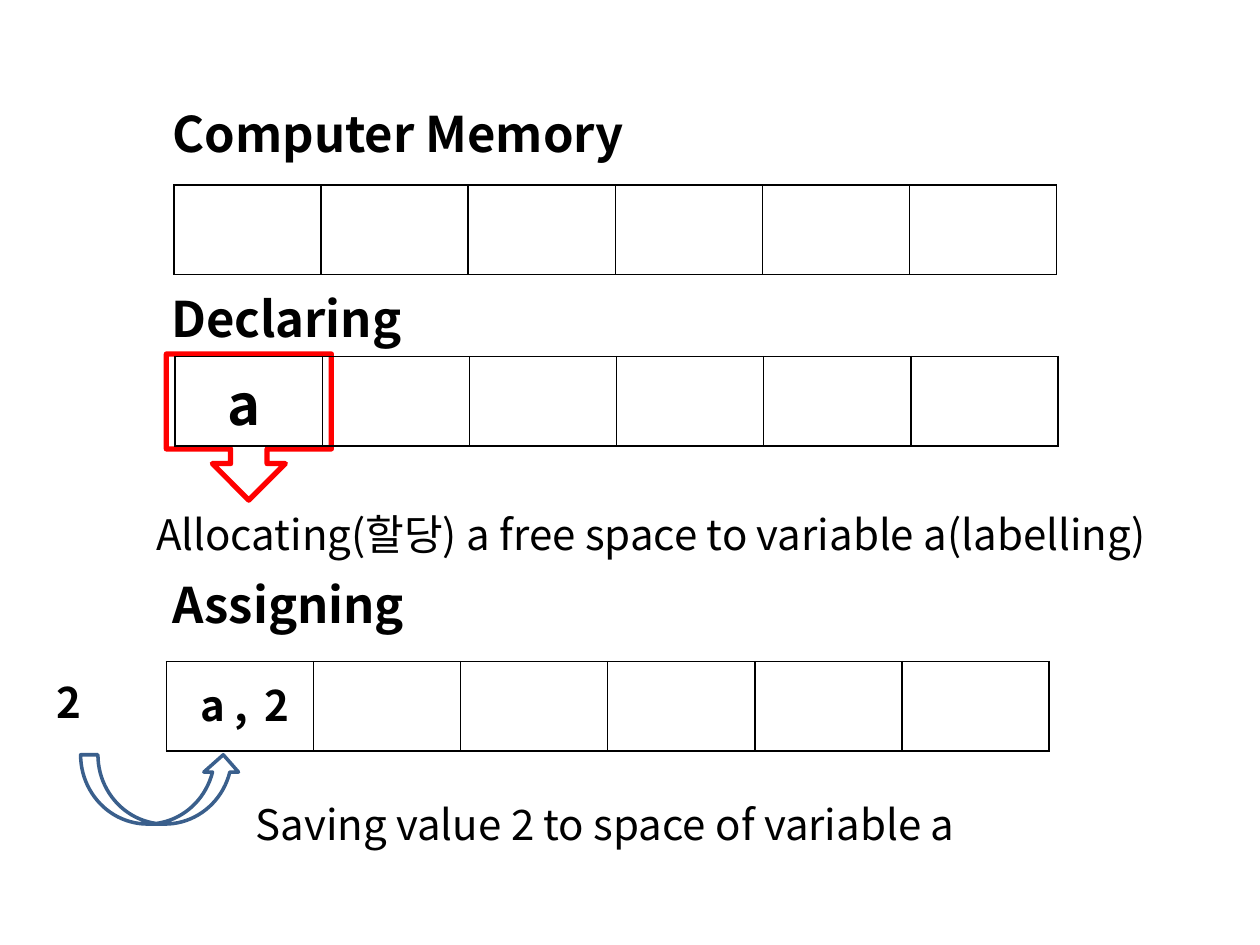
from pptx import Presentation
from pptx.dml.color import RGBColor
from pptx.enum import shapes, text
from pptx.oxml import parse_xml
from pptx.oxml.ns import nsdecls
from pptx.util import Inches, Pt

FONT = "Noto Sans CJK KR"
HUES = {"ink": "000000", "paper": "FFFFFF", "mark": "FF0000", "curve": "3A5F8C"}
HEAD = {"size": Pt(28), "bold": True}
BODY = {"size": Pt(24), "bold": False}
VALUE = {"size": Pt(24), "bold": True}
LABEL = {"size": Pt(32), "bold": True}
CELLS, WIDE, HIGH = 6, 1.168, 0.71


def hue(name):
    return RGBColor.from_string(HUES[name])


def write(box, words, style, align=text.PP_ALIGN.LEFT, wrap=True):
    frame = box.text_frame
    frame.text = words
    form = {"word_wrap": wrap, "auto_size": text.MSO_AUTO_SIZE.SHAPE_TO_FIT_TEXT,
            "vertical_anchor": text.MSO_ANCHOR.TOP}
    for key, val in form.items():
        setattr(frame, key, val)
    para = frame.paragraphs[0]
    para.alignment = align
    run = para.runs[0]
    for key, val in {**style, "name": FONT}.items():
        setattr(run.font, key, val)
    run.font.color.rgb = hue("ink")
    east = parse_xml(f'<a:ea {nsdecls("a")} typeface="{FONT}"/>')
    run.font._element.find("{*}latin").addnext(east)


def add_title(slide, words, spot):
    title = slide.shapes.title
    for key, val in zip(("left", "top", "width", "height"), spot):
        setattr(title, key, Inches(val))
    write(title, words, HEAD)


def add_text(slide, words, spot, style, **form):
    write(slide.shapes.add_textbox(*map(Inches, spot)), words, style, **form)


def add_shape(slide, kind, spot, tint, width):
    shape = slide.shapes.add_shape(kind, *map(Inches, spot))
    shape.shadow.inherit = False
    shape.fill.background()
    shape.line.color.rgb = hue(tint)
    shape.line.width = Pt(width)


def edge(cell):
    props = cell._tc.get_or_add_tcPr()
    for side in "LRTB":
        props.append(parse_xml(
            f'<a:ln{side} {nsdecls("a")} w="{Pt(1)}"><a:solidFill>'
            f'<a:srgbClr val="{HUES["ink"]}"/></a:solidFill></a:ln{side}>'))


def add_row(slide, left, top, tint=None):
    spot = map(Inches, (left, top, CELLS * WIDE, HIGH))
    table = slide.shapes.add_table(1, CELLS, *spot).table
    table.first_row = table.horz_banding = False
    for col in table.columns:
        col.width = Inches(WIDE)
    for cell in table.iter_cells():
        edge(cell)
        if tint:
            cell.fill.solid()
            cell.fill.fore_color.rgb = hue(tint)
        else:
            cell.fill.background()


def main():
    deck = Presentation()
    deck.slide_width, deck.slide_height = Inches(10), Inches(7.5)
    slide = deck.slides.add_slide(deck.slide_layouts[5])
    kinds = shapes.MSO_SHAPE

    add_title(slide, "Computer Memory", (1.27, 0.77, 6.93, 0.57))
    add_row(slide, 1.38, 1.47, "paper")

    add_text(slide, "Declaring", (1.26, 2.24, 2.99, 0.57), HEAD)
    add_shape(slide, kinds.DOWN_ARROW_CALLOUT, (1.32, 2.81, 1.31, 1.16), "mark", 3)
    add_text(slide, "a", (1.54, 2.88, 0.79, 0.64), LABEL, align=text.PP_ALIGN.CENTER)
    add_row(slide, 1.39, 2.83)
    add_text(slide, "Allocating(할당) a free space to variable a(labelling)",
             (1.14, 3.99, 8.43, 0.5), BODY)

    add_text(slide, "Assigning", (1.27, 4.51, 2.99, 0.57), HEAD)
    add_row(slide, 1.32, 5.25)
    add_text(slide, "2", (0.35, 5.32, 0.47, 0.5), VALUE)
    add_shape(slide, kinds.CURVED_UP_ARROW, (0.64, 5.99, 1.27, 0.55), "curve", 2)
    add_text(slide, "2", (2, 5.34, 0.4, 0.5), VALUE, wrap=False)
    add_text(slide, "a ,", (1.49, 5.34, 0.59, 0.5), VALUE, wrap=False)
    add_text(slide, "Saving value 2 to space of variable a", (1.93, 6.29, 7.24, 0.5), BODY)

    deck.save("out.pptx")


if __name__ == "__main__":
    main()
